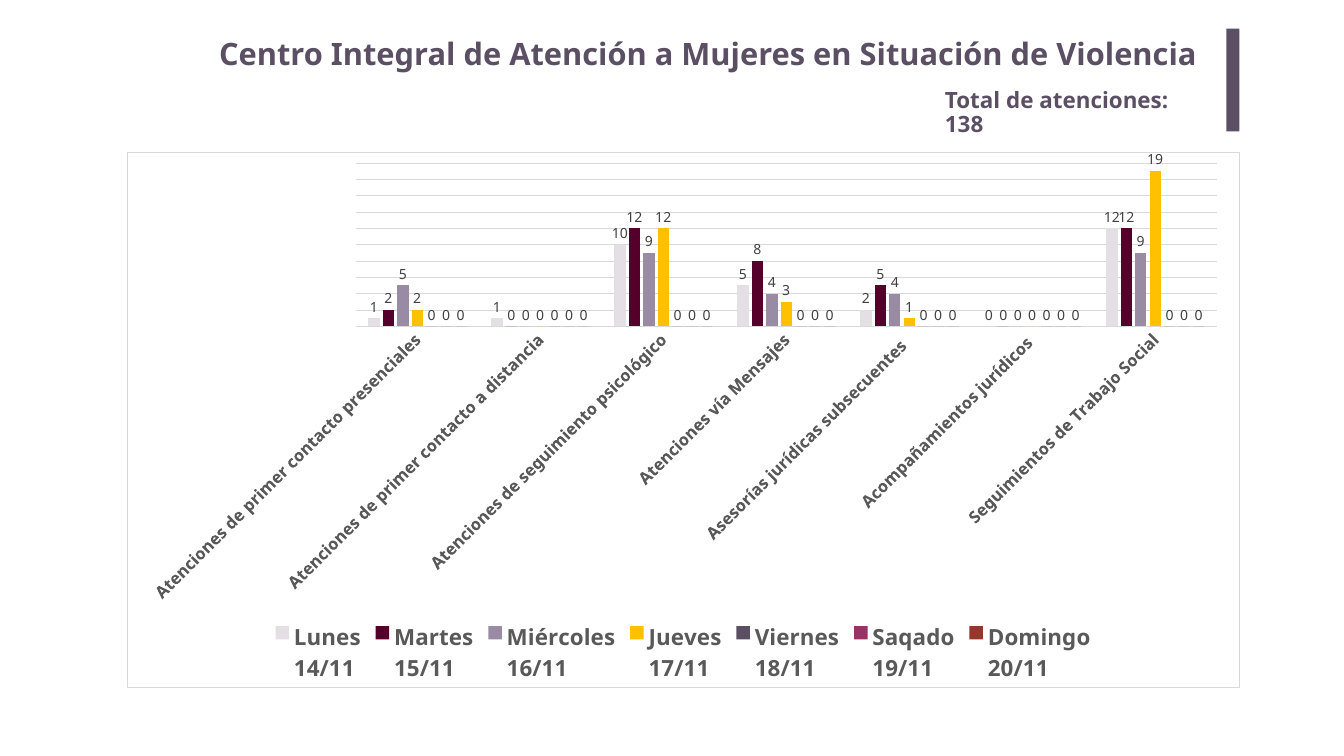
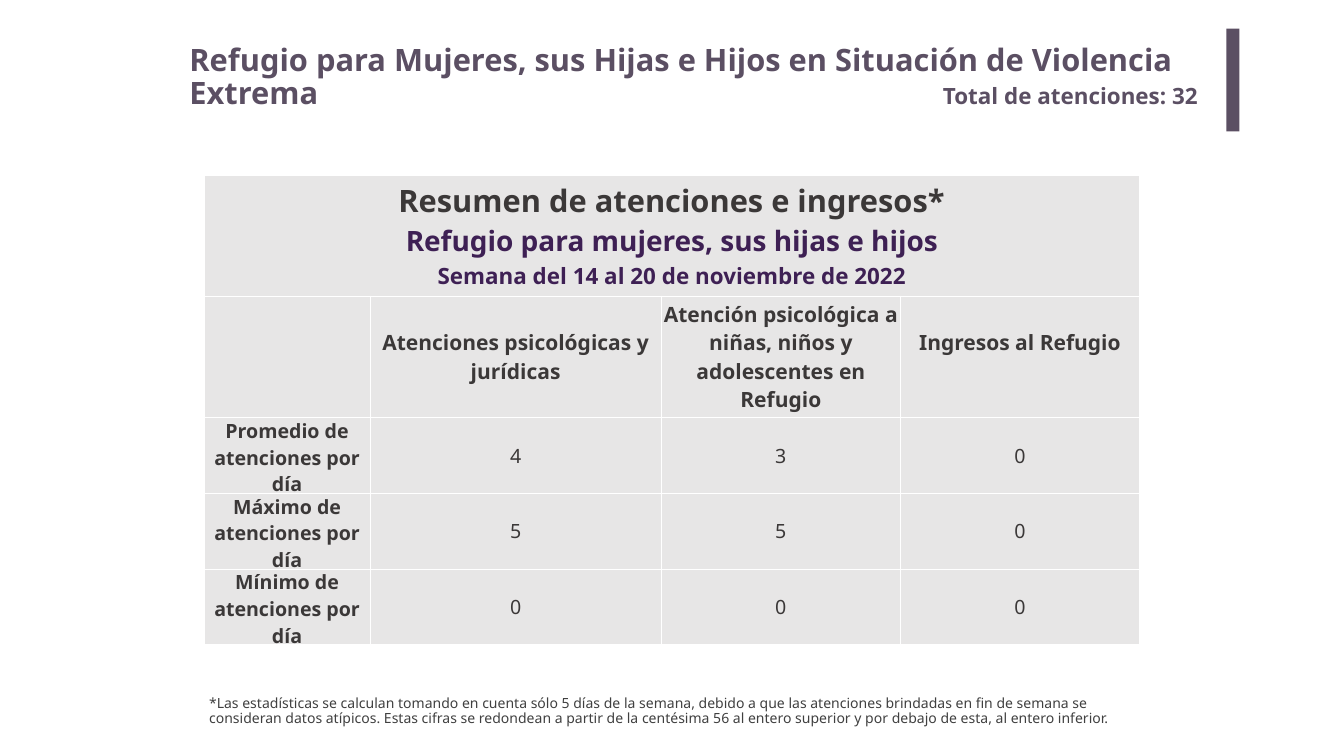
from lxml import etree
from pptx import Presentation
from pptx.chart.data import CategoryChartData
from pptx.dml.color import RGBColor
from pptx.enum.chart import XL_CHART_TYPE, XL_LABEL_POSITION, XL_LEGEND_POSITION, XL_TICK_MARK
from pptx.enum.shapes import MSO_SHAPE
from pptx.enum.text import MSO_ANCHOR, PP_ALIGN
from pptx.oxml import parse_xml
from pptx.oxml.ns import nsdecls, qn
from pptx.util import Pt

COLUMNS, OUTSIDE = XL_CHART_TYPE.COLUMN_CLUSTERED, XL_LABEL_POSITION.OUTSIDE_END
BOTTOM, NO_TICK = XL_LEGEND_POSITION.BOTTOM, XL_TICK_MARK.NONE
RECT, MIDDLE = MSO_SHAPE.RECTANGLE, MSO_ANCHOR.MIDDLE
LEFT, CENTER, RIGHT = PP_ALIGN.LEFT, PP_ALIGN.CENTER, PP_ALIGN.RIGHT

# Shared look
FONT = "Noto Sans"
PURPLE, VIOLET, DARK, INK, GREY = "5B4F63", "3E2054", "3B3838", "404040", "595959"
PALE, RULE, WHITE = "E7E6E6", "D9D9D9", "FFFFFF"

# Slide 1 content
CENTRE_TITLE = "Centro Integral de Atención a Mujeres en Situación de Violencia"
CENTRE_TOTAL = "Total de atenciones: 138"
SERVICES = [
    "Atenciones de primer contacto presenciales",
    "Atenciones de primer contacto a distancia",
    "Atenciones de seguimiento psicológico",
    "Atenciones vía Mensajes",
    "Asesorías jurídicas subsecuentes  ",
    "Acompañamientos jurídicos ",
    "Seguimientos de Trabajo Social",
]
DAYS = [
    ("Lunes\n14/11", "E3DFE5", (1, 1, 10, 5, 2, 0, 12)),
    ("Martes\n15/11", "54002A", (2, 0, 12, 8, 5, 0, 12)),
    ("Miércoles\n16/11", "998BA3", (5, 0, 9, 4, 4, 0, 9)),
    ("Jueves\n17/11", "FFC000", (2, 0, 12, 3, 1, 0, 19)),
    ("Viernes\n18/11", "5B4F63", (0,) * 7),
    ("Saqado\n19/11", "993366", (0,) * 7),
    ("Domingo\n20/11", "95372B", (0,) * 7),
]

# Slide 2 content
SHELTER_TITLE = "Refugio para Mujeres, sus Hijas e Hijos en Situación de Violencia Extrema"
SHELTER_TOTAL = "Total de atenciones: 32"
HEADING = [
    ("Resumen de atenciones e ingresos*", 44, DARK),
    ("Refugio para mujeres, sus hijas e hijos", 40, VIOLET),
    ("Semana del 14 al 20 de noviembre de 2022", 32, VIOLET),
]
SUMMARY = [
    ("", "Atenciones psicológicas y jurídicas",
     "Atención psicológica a niñas, niños y adolescentes en Refugio", "Ingresos al Refugio"),
    ("Promedio de atenciones por día", "4", "3", "0"),
    ("Máximo de atenciones por día", "5", "5", "0"),
    ("Mínimo de atenciones por día", "0", "0", "0"),
]
COL_WIDTHS = (236.9, 416.2, 341.6, 341.6)
ROW_HEIGHTS = (172.8, 174.2, 108, 108, 108)
NOTE = ("*Las estadísticas se calculan tomando en cuenta sólo 5 días de la semana, debido a que las "
        "atenciones brindadas en fin de semana se consideran datos atípicos. Estas cifras se redondean "
        "a partir de la centésima 56 al entero superior y por debajo de esta, al entero inferior.")


def rgb(color):
    return RGBColor.from_string(color)


def box(*lengths):
    return [Pt(n) for n in lengths]


def style(font, size, color, bold=False):
    font.name, font.size, font.bold = FONT, Pt(size), bold
    font.color.rgb = rgb(color)


def add_text(s, text, place, size, color, bold=True, align=LEFT, inset=(7.2, 3.6)):
    tf = s.shapes.add_textbox(*box(*place)).text_frame
    tf.word_wrap = True
    tf.margin_left = tf.margin_right = Pt(inset[0])
    tf.margin_top = tf.margin_bottom = Pt(inset[1])
    tf.text = text
    p = tf.paragraphs[0]
    p.alignment, p.line_spacing = align, 0.9
    style(p.runs[0].font, size, color, bold)


def add_bar(s):
    sp = s.shapes.add_shape(RECT, *box(1751.8, 41, 18.7, 146.9))
    sp.shadow.inherit = False
    sp.fill.solid()
    sp.fill.fore_color.rgb = rgb(PURPLE)
    sp.line.fill.background()


def fill_cell(cell, lines, bold=True):
    """Write (text, size, colour) lines into a pale cell with white borders."""
    cell.vertical_anchor = MIDDLE
    cell.margin_left = cell.margin_right = cell.margin_top = cell.margin_bottom = 0
    cell.text = "\n".join(text for text, _, _ in lines)
    for p, (_, size, color) in zip(cell.text_frame.paragraphs, lines):
        p.alignment = CENTER
        style(p.font, size, color, bold)
        for r in p.runs:
            style(r.font, size, color, bold)
    props = cell._tc.get_or_add_tcPr()
    for side in ("lnL", "lnR", "lnT", "lnB"):
        line = etree.SubElement(props, qn("a:" + side), w=str(Pt(1)))
        fill = etree.SubElement(line, qn("a:solidFill"))
        etree.SubElement(fill, qn("a:srgbClr"), val=WHITE)
    cell.fill.solid()
    cell.fill.fore_color.rgb = rgb(PALE)


prs = Presentation()
prs.slide_width, prs.slide_height = box(1920, 1080)
blank = prs.slide_layouts[6]

# Slide 1: title, bar and total
s = prs.slides.add_slide(blank)
add_text(s, CENTRE_TITLE, (263.5, 48.2, 1461.6, 73.4), 44, PURPLE, align=RIGHT, inset=(14.4, 7.2))
add_bar(s)
add_text(s, CENTRE_TOTAL, (1342.8, 123.1, 382.3, 46.8), 32, PURPLE)

# Slide 1: daily chart
data = CategoryChartData()
data.categories = SERVICES
for name, _, values in DAYS:
    data.add_series(name, values)
chart = s.shapes.add_chart(COLUMNS, *box(181.4, 213.8, 1589, 769), data).chart
style(chart.font, 10, "000000")
chart.has_title = False
chart.has_legend = True
chart.legend.position, chart.legend.include_in_layout = BOTTOM, False
style(chart.legend.font, 32, GREY, True)

plot = chart.plots[0]
plot.gap_width, plot.overlap, plot.vary_by_categories = 219, -27, False
for series, (_, color, _) in zip(plot.series, DAYS):
    series.format.fill.solid()
    series.format.fill.fore_color.rgb = rgb(color)
    labels = series.data_labels
    labels.show_value, labels.position = True, OUTSIDE
    style(labels.font, 20, INK)

axis = chart.category_axis
axis.major_tick_mark = axis.minor_tick_mark = NO_TICK
style(axis.tick_labels.font, 24, GREY, True)
axis._element.find(qn("c:txPr")).find(qn("a:bodyPr")).set("rot", "-2700000")
scale = chart.value_axis
scale.visible = False
scale.minimum_scale, scale.maximum_scale, scale.major_unit = 0, 20, 2
scale.has_major_gridlines = True
for line in (axis.format.line, scale.major_gridlines.format.line):
    line.color.rgb = rgb(RULE)
    line.width = Pt(0.75)

# Chart frame: white with a thin border
frame = parse_xml(
    f'<c:spPr {nsdecls("c", "a")}><a:solidFill><a:srgbClr val="{WHITE}"/></a:solidFill>'
    f'<a:ln w="{Pt(0.75)}"><a:solidFill><a:srgbClr val="{RULE}"/></a:solidFill></a:ln></c:spPr>')
chart._chartSpace.find(qn("c:chart")).addnext(frame)

# Slide 2: summary table
s = prs.slides.add_slide(blank)
table = s.shapes.add_table(len(ROW_HEIGHTS), len(COL_WIDTHS),
                           *box(291.6, 249.8, sum(COL_WIDTHS), sum(ROW_HEIGHTS))).table
for col, width in zip(table.columns, COL_WIDTHS):
    col.width = Pt(width)
for row, height in zip(table.rows, ROW_HEIGHTS):
    row.height = Pt(height)
table.cell(0, 0).merge(table.cell(0, len(COL_WIDTHS) - 1))
fill_cell(table.cell(0, 0), HEADING)
for i, row in enumerate(SUMMARY, 1):
    for j, text in enumerate(row):
        size = 30 if i == 1 else 28
        fill_cell(table.cell(i, j), [(text, size, DARK)], bold=i == 1 or j == 0)
table.cell(1, 3).margin_bottom = Pt(41)  # the last heading sits a little higher

# Slide 2: bar, total, title and footnote
add_bar(s)
add_text(s, SHELTER_TOTAL, (1339.9, 118.8, 385.2, 46.1), 32, PURPLE)
add_text(s, SHELTER_TITLE, (263.5, 60.5, 1492.6, 60.5), 44, PURPLE)
add_text(s, NOTE, (291.6, 991.4, 1336.3, 55.4), 20, INK, bold=False)

prs.save("out.pptx")
